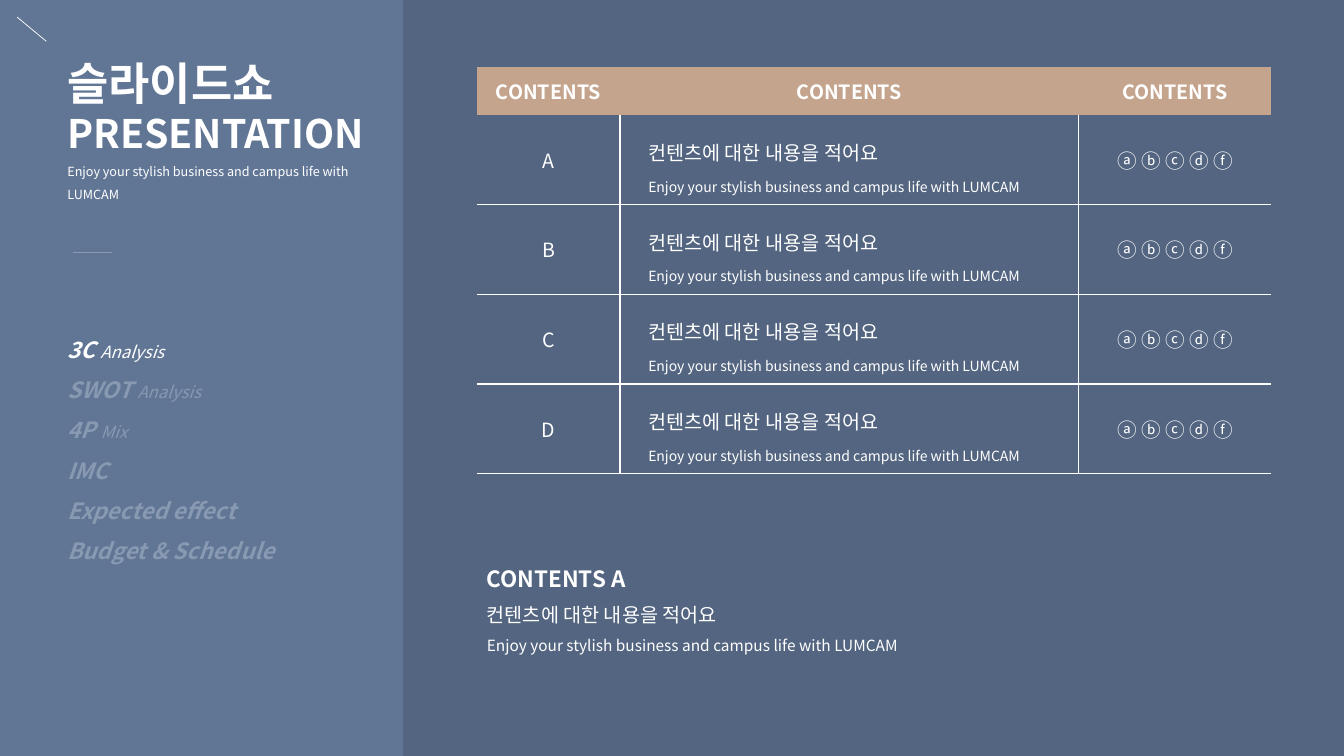
from dataclasses import dataclass

from lxml import etree
from pptx import Presentation
from pptx.dml.color import RGBColor
from pptx.enum.shapes import MSO_CONNECTOR
from pptx.enum.text import MSO_ANCHOR, MSO_AUTO_SIZE, PP_ALIGN
from pptx.oxml.ns import qn
from pptx.util import Inches, Pt

STRAIGHT = MSO_CONNECTOR.STRAIGHT
MIDDLE = MSO_ANCHOR.MIDDLE
GROW = MSO_AUTO_SIZE.SHAPE_TO_FIT_TEXT
CENTER = PP_ALIGN.CENTER
LEFT = PP_ALIGN.LEFT


@dataclass(frozen=True)
class Theme:
    """Colours, font and type sizes of the slide."""
    font: str = "Noto Sans CJK KR"
    panel: str = "617695"
    ground: str = "536580"
    white: str = "FFFFFF"
    muted: str = "8899B2"
    header: str = "C5A48D"
    title: int = 32
    subtitle: int = 28
    heading: int = 16
    body: int = 14
    menu_note: int = 12
    caption: int = 11
    small: int = 10
    tiny: int = 9


@dataclass(frozen=True)
class Run:
    """A piece of text with one format."""
    text: str
    size: int
    bold: bool = False
    italic: bool = False
    color: str = Theme.white


class SlideBuilder:
    """Holds the theme and the current slide, and draws each kind of element."""

    def __init__(self, slide, theme):
        self.slide = slide
        self.theme = theme

    def split_background(self, position):
        """Fill the background with two colours that meet at a hard edge."""
        fill = self.slide.background.fill
        fill.gradient()
        fill.gradient_angle = 0
        for stop, color in zip(fill.gradient_stops, (self.theme.panel, self.theme.ground)):
            stop.color.rgb = RGBColor.from_string(color)
            stop.position = position

    def add_paragraphs(self, frame, paragraphs, spacings, align=LEFT):
        """Add lists of runs as paragraphs, each with its line spacing."""
        for index, (runs, spacing) in enumerate(zip(paragraphs, spacings)):
            paragraph = frame.add_paragraph() if index else frame.paragraphs[0]
            paragraph.alignment = align
            paragraph.line_spacing = spacing
            for item in runs:
                run = paragraph.add_run()
                run.text = item.text
                font = run.font
                font.size = Pt(item.size)
                font.bold = item.bold
                font.italic = item.italic
                font.color.rgb = RGBColor.from_string(item.color)
                font.name = self.theme.font
                latin = run._r.get_or_add_rPr().find(qn("a:latin"))
                east_asian = etree.Element(qn("a:ea"), typeface=self.theme.font)
                latin.addnext(east_asian)

    def text(self, left, top, width, height, paragraphs, spacings):
        """Add a wrapping text box that grows with its text."""
        box = self.slide.shapes.add_textbox(
            Inches(left), Inches(top), Inches(width), Inches(height))
        box.text_frame.word_wrap = True
        box.text_frame.auto_size = GROW
        self.add_paragraphs(box.text_frame, paragraphs, spacings)

    def line(self, start, end, color):
        """Add a thin straight line."""
        points = [Inches(value) for value in (*start, *end)]
        connector = self.slide.shapes.add_connector(STRAIGHT, *points)
        connector.line.color.rgb = RGBColor.from_string(color)
        connector.line.width = Pt(0.5)
        etree.SubElement(connector._element.spPr, qn("a:effectLst"))

    def borders(self, cell, shown):
        """Draw the shown sides of a cell in white and hide the others."""
        properties = cell._tc.get_or_add_tcPr()
        for index, side in enumerate("LRTB"):
            border = etree.Element(qn(f"a:ln{side}"), w=str(Pt(1)))
            if side in shown:
                solid = etree.SubElement(border, qn("a:solidFill"))
                etree.SubElement(solid, qn("a:srgbClr"), val=self.theme.white)
            else:
                etree.SubElement(border, qn("a:noFill"))
            properties.insert(index, border)

    def cell(self, cell, paragraphs, spacing, align, fill, shown):
        """Fill and outline one table cell and add its text."""
        cell.vertical_anchor = MIDDLE
        if fill:
            cell.fill.solid()
            cell.fill.fore_color.rgb = RGBColor.from_string(fill)
        else:
            cell.fill.background()
        if align == LEFT:
            cell.margin_left = Inches(0.28)
        self.borders(cell, shown)
        self.add_paragraphs(cell.text_frame, paragraphs, [spacing] * len(paragraphs), align)

    def table(self, left, top, widths, heights, headings, rows):
        """Add a table with a coloured header and inner rules."""
        shape = self.slide.shapes.add_table(
            len(heights), len(widths), Inches(left), Inches(top),
            Inches(sum(widths)), Inches(sum(heights)))
        table = shape.table
        table.first_row = table.horz_banding = False
        for column, width in zip(table.columns, widths):
            column.width = Inches(width)
        for row, height in zip(table.rows, heights):
            row.height = Inches(height)
        for column, heading in enumerate(headings):
            run = Run(heading, self.theme.body, bold=True)
            self.cell(table.cell(0, column), [[run]], 1.0, CENTER, self.theme.header, "")
        sides = ("RB", "LRB", "LB")
        for row, contents in enumerate(rows, start=1):
            for column, paragraphs in enumerate(contents):
                several = len(paragraphs) > 1
                shown = sides[column] + ("T" if row > 1 else "")
                self.cell(table.cell(row, column), paragraphs, 1.5 if several else 1.0,
                          LEFT if several else CENTER, None, shown)


def main():
    """Build the slide and save it."""
    theme = Theme()
    presentation = Presentation()
    presentation.slide_width = Inches(13.33)
    presentation.slide_height = Inches(7.5)
    slide = presentation.slides.add_slide(presentation.slide_layouts[6])
    builder = SlideBuilder(slide, theme)
    slogan = "Enjoy your stylish business and campus life with LUMCAM"
    description = "컨텐츠에 대한 내용을 적어요"

    builder.split_background(0.3)
    builder.text(0.57, 0.5, 3.16, 1.54, [
        [Run("슬라이드쇼 ", theme.title, bold=True),
         Run("PRESENTATION", theme.subtitle, bold=True)],
        [Run(slogan, theme.tiny)],
    ], [1.0, 1.5])
    builder.line((0.17, 0.17), (0.46, 0.41), theme.white)
    builder.line((0.72, 2.5), (1.11, 2.5), theme.muted)

    menu = [("3C ", "Analysis"), ("SWOT ", "Analysis"), ("4P ", "Mix"),
            ("IMC", ""), ("Expected effect", ""), ("Budget & Schedule", "")]
    menu_paragraphs = []
    for index, (name, note) in enumerate(menu):
        color = theme.muted if index else theme.white
        runs = [Run(name, theme.heading, True, True, color)]
        if note:
            runs.append(Run(note, theme.menu_note, False, True, color))
        menu_paragraphs.append(runs)
    builder.text(0.57, 3.15, 3, 2.47, menu_paragraphs, [1.5] * len(menu))

    rows = [([[Run(letter, theme.body)]],
             [[Run(description, theme.body)], [Run(slogan, theme.small)]],
             [[Run("ⓐ ⓑ ⓒ ⓓ ⓕ", theme.body)]]) for letter in "ABCD"]
    builder.table(4.73, 0.66, [1.42, 4.55, 1.91], [0.48] + [0.89] * len(rows),
                  ["CONTENTS"] * 3, rows)

    builder.text(4.73, 5.42, 4.59, 1.14, [
        [Run("CONTENTS A", theme.heading, bold=True)],
        [Run(description, theme.body)],
        [Run(slogan, theme.caption)],
    ], [1.5] * 3)
    presentation.save("out.pptx")


main()
